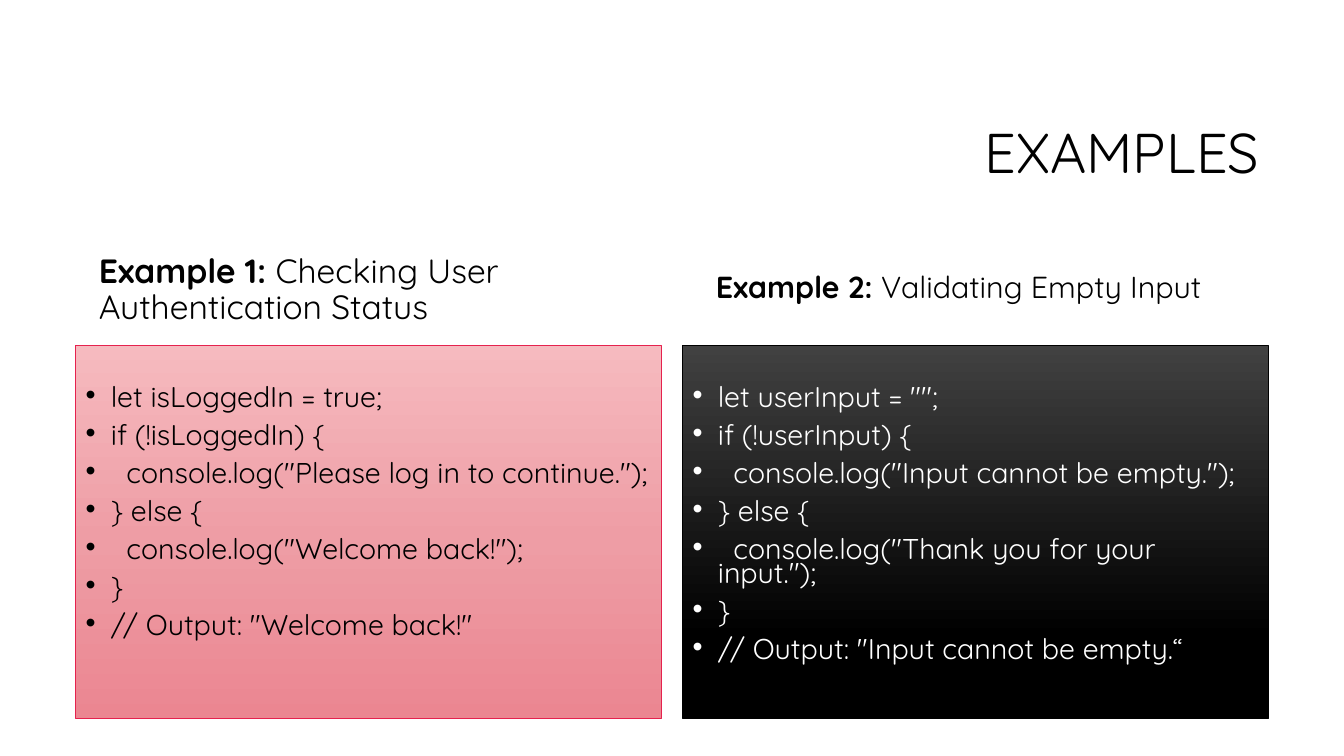
from dataclasses import dataclass

from lxml import etree
from pptx import Presentation
from pptx.dml.color import RGBColor
from pptx.enum.text import MSO_ANCHOR, MSO_AUTO_SIZE, PP_ALIGN
from pptx.oxml.ns import qn
from pptx.util import Inches, Pt

MIDDLE, BOTTOM, TOP = MSO_ANCHOR.MIDDLE, MSO_ANCHOR.BOTTOM, MSO_ANCHOR.TOP
RIGHT, LEFT = PP_ALIGN.RIGHT, PP_ALIGN.LEFT
NO_AUTOFIT = MSO_AUTO_SIZE.NONE

TITLE = "EXAMPLES"
EXAMPLES = [
    {
        "heading": ("Example 1: ", "Checking User Authentication Status"),
        "code": [
            "let isLoggedIn = true;",
            "if (!isLoggedIn) {",
            '  console.log("Please log in to continue.");',
            "} else {",
            '  console.log("Welcome back!");',
            "}",
            '// Output: "Welcome back!"',
        ],
    },
    {
        "heading": ("Example 2: ", "Validating Empty Input"),
        "code": [
            'let userInput = "";',
            "if (!userInput) {",
            '  console.log("Input cannot be empty.");',
            "} else {",
            '  console.log("Thank you for your input.");',
            "}",
            '// Output: "Input cannot be empty.“',
        ],
    },
]


@dataclass(frozen=True)
class Theme:
    font: str = "Quicksand"
    ink: str = "000000"
    title_size: float = 40
    code_size: float = 20.4
    space_before: float = 10


@dataclass(frozen=True)
class Panel:
    heading_box: tuple
    heading_size: float
    heading_spacing: float
    heading_inset: float
    ink: str
    border: str
    stops: tuple


THEME = Theme()
PANELS = [
    Panel((0.88, 2.25, 4.51, 1.04), 24, 0.9, 0.05, "000000", "E5224E",
          ((0, "F6BABF"), (52, "EE9DA5"), (100, "EB8691"))),
    Panel((7, 2.25, 5.58, 1.04), 21.7, 0.7, 0.28, "FFFFFF", "000000",
          ((0, "414141"), (78, "000000"))),
]
TITLE_BOX = (3.17, 0.83, 9.42, 1.42)
CODE_LEFT, CODE_TOP, CODE_WIDTH, CODE_HEIGHT = 0.75, 3.43, 5.81, 3.7
CODE_GAP, CODE_INSET, CODE_INDENT = 0.21, 0.42, 0.25


def place(holder, box, anchor):
    holder.left, holder.top, holder.width, holder.height = map(Inches, box)
    frame = holder.text_frame
    frame.word_wrap = True
    frame.auto_size = NO_AUTOFIT
    frame.vertical_anchor = anchor
    return frame


def write(paragraph, parts, size, color, spacing, align=LEFT, before=0):
    paragraph.alignment = align
    paragraph.line_spacing = spacing
    paragraph.space_before = Pt(before)
    for text, bold in parts:
        run = paragraph.add_run()
        run.text = text
        run.font.name = THEME.font
        run.font.size = Pt(size)
        run.font.bold = bold
        run.font.color.rgb = RGBColor.from_string(color)


def add_bullet(paragraph):
    properties = paragraph._p.get_or_add_pPr()
    properties.set("marL", str(Inches(CODE_INDENT)))
    properties.set("indent", str(-Inches(CODE_INDENT)))
    etree.SubElement(properties, qn("a:buFont"), typeface="Arial")
    etree.SubElement(properties, qn("a:buChar"), char="•")


def paint(holder, panel):
    holder.fill.gradient()
    holder.fill.gradient_angle = 270
    stop_list = holder._element.spPr.find(".//" + qn("a:gsLst"))
    stop_list.clear()
    for position, color in panel.stops:
        stop = etree.SubElement(stop_list, qn("a:gs"), pos=str(position * 1000))
        etree.SubElement(stop, qn("a:srgbClr"), val=color)
    holder.line.color.rgb = RGBColor.from_string(panel.border)
    holder.line.width = Pt(0.75)


def fill_heading(holder, parts, panel):
    frame = place(holder, panel.heading_box, BOTTOM)
    frame.margin_bottom = Inches(panel.heading_inset)
    label, topic = parts
    write(frame.paragraphs[0], [(label, True), (topic, False)],
          panel.heading_size, THEME.ink, panel.heading_spacing)


def fill_code(holder, lines, panel, left):
    frame = place(holder, (left, CODE_TOP, CODE_WIDTH, CODE_HEIGHT), TOP)
    frame.margin_top = Inches(CODE_INSET)
    paint(holder, panel)
    for index, line in enumerate(lines):
        paragraph = frame.add_paragraph() if index else frame.paragraphs[0]
        add_bullet(paragraph)
        write(paragraph, [(line, False)], THEME.code_size, panel.ink, 0.7,
              before=THEME.space_before if index else 0)


def main():
    deck = Presentation()
    deck.slide_width, deck.slide_height = Inches(13.33), Inches(7.5)
    slide = deck.slides.add_slide(deck.slide_layouts.get_by_name("Comparison"))
    title, *bodies = slide.placeholders
    title_frame = place(title, TITLE_BOX, MIDDLE)
    write(title_frame.paragraphs[0], [(TITLE, False)], THEME.title_size,
          THEME.ink, 0.9, RIGHT)
    for column, (example, panel) in enumerate(zip(EXAMPLES, PANELS)):
        heading, code = bodies[2 * column:2 * column + 2]
        fill_heading(heading, example["heading"], panel)
        fill_code(code, example["code"], panel,
                  CODE_LEFT + column * (CODE_WIDTH + CODE_GAP))
    deck.save("out.pptx")


if __name__ == "__main__":
    main()
